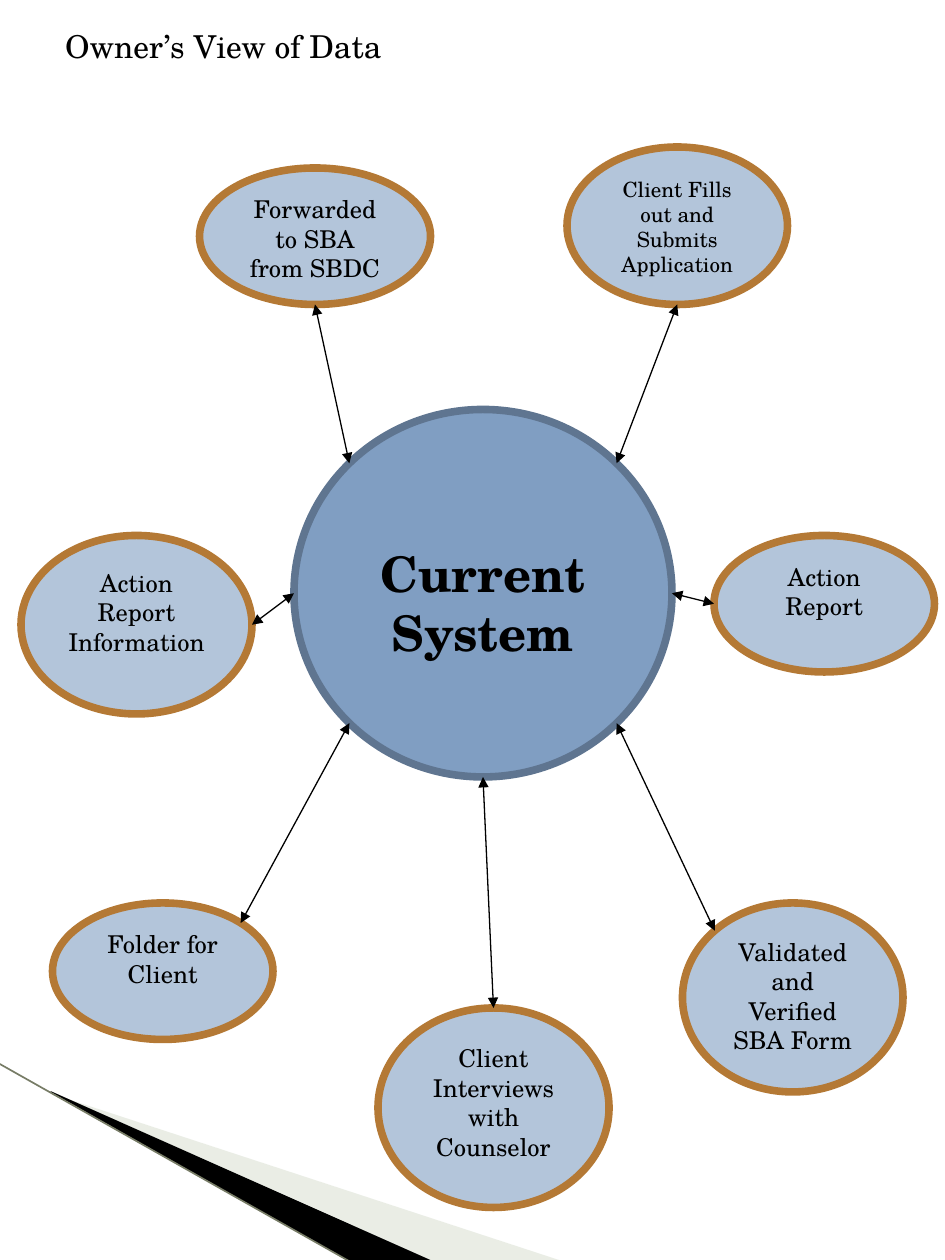
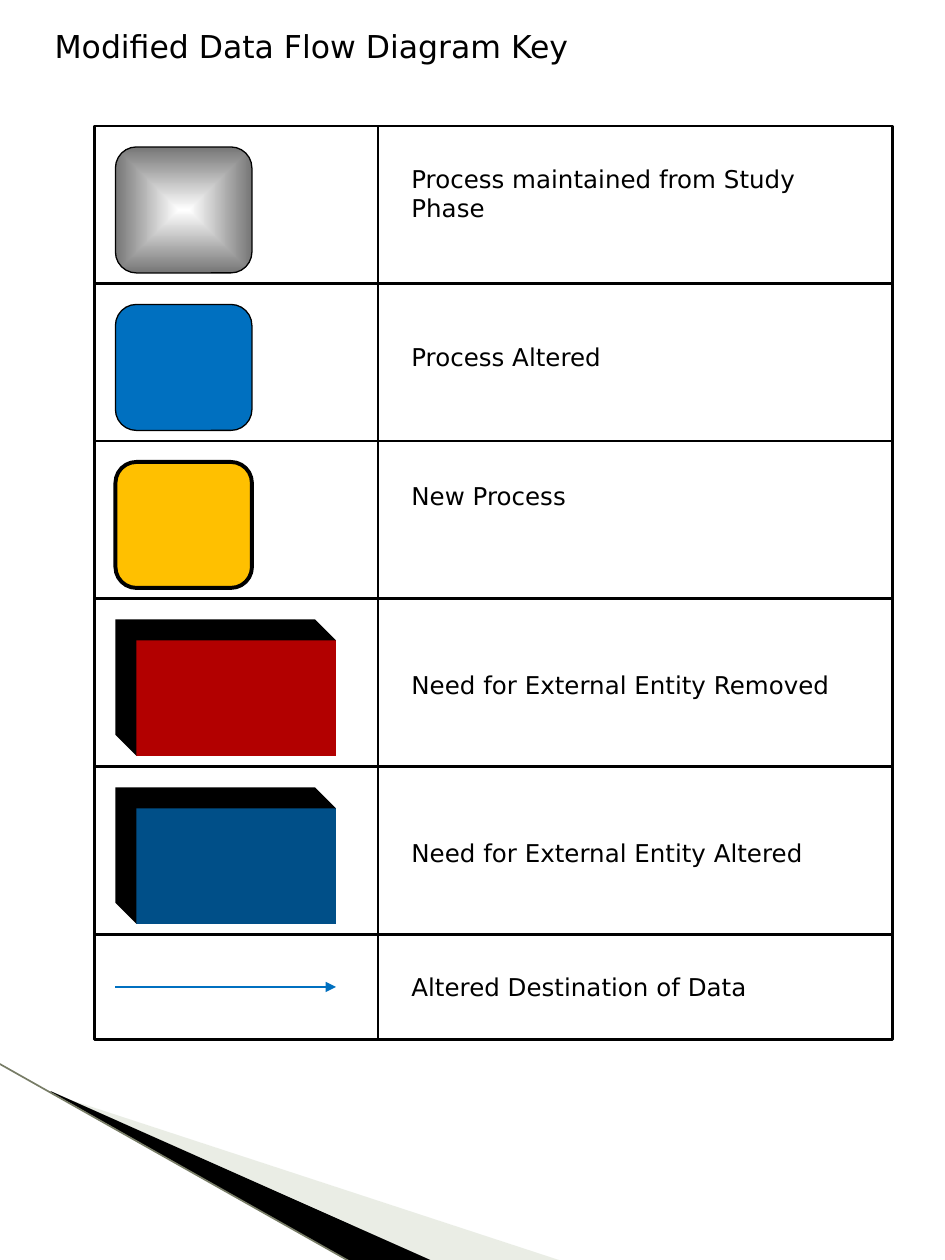
from dataclasses import dataclass
from math import cos, radians, sin

from lxml.etree import SubElement
from pptx import Presentation
from pptx.dml.color import RGBColor
from pptx.enum.shapes import MSO_CONNECTOR, MSO_SHAPE
from pptx.enum.text import MSO_ANCHOR, MSO_AUTO_SIZE, PP_ALIGN
from pptx.oxml import parse_xml
from pptx.oxml.ns import nsdecls, qn
from pptx.util import Pt


@dataclass(frozen=True)
class Theme:
    black: str = "000000"
    pale: str = "CBD4C0"
    edge: str = "777C66"
    hub: str = "809EC2"
    rim: str = "5F7590"
    node: str = "B3C5DA"
    ring: str = "B47935"
    blue: str = "0070C0"
    gold: str = "FFC000"
    red: str = "B20000"
    navy: str = "004F88"
    grey: str = "767676"
    serif: str = "TeX Gyre Schola"
    sans: str = "DejaVu Sans"
    title: int = 18
    big: int = 28
    body: int = 14
    small: int = 12


theme = Theme()


def write(frame, text, size, face, align=PP_ALIGN.LEFT, bold=False):
    frame.word_wrap = True
    frame.auto_size = MSO_AUTO_SIZE.NONE
    frame.vertical_anchor = MSO_ANCHOR.TOP
    frame.text = text
    for para in frame.paragraphs:
        para.alignment = align
        font = para.font
        font.size, font.name, font.bold = Pt(size), face, bold
        font.color.rgb = RGBColor.from_string(theme.black)


def style(shape, fill=None, line=None, width=0.75, ends=()):
    """Set fill and line, drop the shadow, and add arrowheads at the named ends."""
    if fill:
        shape.fill.solid()
        shape.fill.fore_color.rgb = RGBColor.from_string(fill)
    elif hasattr(shape, "fill"):
        shape.fill.background()
    if line:
        shape.line.color.rgb = RGBColor.from_string(line)
        shape.line.width = Pt(width)
    else:
        shape.line.fill.background()
    for end in ends:
        SubElement(shape.line._get_or_add_ln(), qn(f"a:{end}"), type="triangle")
    SubElement(shape.element.spPr, qn("a:effectLst"))


deck = Presentation()
deck.slide_width, deck.slide_height = Pt(540), Pt(720)
layout = deck.slide_layouts[5]
view, key = [deck.slides.add_slide(layout) for _ in range(2)]

# Corner bands, shared through the layout
bands = []
for points, color in (
    ([(29.5, 625), (321, 720.5), (246, 720.5), (29.5, 624.5)], theme.pale),
    ([(29, 623.5), (247, 720.5), (201, 721.5), (29, 624)], theme.black),
):
    path = [(Pt(x), Pt(y)) for x, y in points]
    pen = view.shapes.build_freeform(*path[0])
    pen.add_line_segments(path[1:])
    band = pen.convert_to_shape()
    style(band, color)
    bands.append(band)
tint = bands[0].element.spPr.find(qn("a:solidFill"))[0]
SubElement(tint, qn("a:alpha"), val="40000")
edge = view.shapes.add_connector(
    MSO_CONNECTOR.STRAIGHT, Pt(-1), Pt(607.5), Pt(201), Pt(721.5))
style(edge, line=theme.edge, width=0.95)
for band in bands + [edge]:
    layout.shapes.element.append(band.element)

# Titles
for slide, text, face, left, high in (
    (view, "Owner’s View of Data", theme.serif, 30, 29),
    (key, "Modified Data Flow Diagram Key", theme.sans, 24, 62),
):
    title = slide.shapes.title
    title.left, title.top = Pt(left), Pt(12)
    title.width, title.height = Pt(450), Pt(high)
    write(title.text_frame, text, theme.title, face)

# Owner's view: a hub and the steps around it
hub = (168, 234, 216, 210)
disc = view.shapes.add_shape(MSO_SHAPE.OVAL, *map(Pt, hub))
style(disc, theme.hub, theme.rim, 4.33)
write(disc.text_frame, "Current System", theme.big, theme.serif,
      PP_ALIGN.CENTER, True)
disc.text_frame.margin_top = Pt(46)

# Text, box, size, then link angles on the step and on the hub (clockwise from right)
steps = [
    ("Forwarded\nto SBA\nfrom SBDC", (114, 96, 132, 78), theme.body, 90, 225),
    ("Client Fills out and Submits\nApplication", (324, 84, 126, 90),
     theme.small, 90, 315),
    ("Action Report", (408, 306, 126, 78), theme.body, 180, 0),
    ("Folder for Client", (30, 516, 126, 78), theme.body, 315, 135),
    ("Client Interviews with Counselor", (216, 576, 132, 114),
     theme.body, 270, 90),
    ("Validated and Verified SBA Form", (390, 516, 126, 108),
     theme.body, 225, 45),
    ("Action Report\nInformation", (12, 306, 132, 102), theme.body, 0, 180),
]
for text, box, size, out, into in steps:
    oval = view.shapes.add_shape(MSO_SHAPE.OVAL, *map(Pt, box))
    style(oval, theme.node, theme.ring, 4.33)
    write(oval.text_frame, text, size, theme.serif, PP_ALIGN.CENTER)
    ends = []
    for (x, y, wide, high), turn in ((box, out), (hub, into)):
        ends += [Pt(x + wide / 2 * (1 + cos(radians(turn)))),
                 Pt(y + high / 2 * (1 + sin(radians(turn))))]
    link = view.shapes.add_connector(MSO_CONNECTOR.STRAIGHT, *ends)
    style(link, line=theme.black, ends=("headEnd", "tailEnd"))

# Key: row height, sample kind, colour, sample line width, text, text top
rows = [
    (90, "round", theme.grey, 0.75, "Process maintained from Study Phase", 90),
    (90, "round", theme.blue, 0.75, "Process Altered", 192),
    (90, "round", theme.gold, 2.25, "New Process", 271.5),
    (96, "block", theme.red, 0, "Need for External Entity Removed", 379.5),
    (96, "block", theme.navy, 0, "Need for External Entity Altered", 475.5),
    (60, "arrow", theme.blue, 1.5, "Altered Destination of Data", 552),
]
fade = f"""<a:gradFill {nsdecls("a")} rotWithShape="1"><a:gsLst>
<a:gs pos="0"><a:srgbClr val="FFFFFF"/></a:gs>
<a:gs pos="100000"><a:srgbClr val="{theme.grey}"/></a:gs></a:gsLst>
<a:path path="rect"><a:fillToRect l="50000" t="50000" r="50000" b="50000"/></a:path>
</a:gradFill>"""
left, top = 54, 72
mark = left + 12
for high, kind, color, width, text, start in rows:
    frame = key.shapes.add_shape(
        MSO_SHAPE.RECTANGLE, Pt(left), Pt(top), Pt(456), Pt(high))
    style(frame, line=theme.black, width=1.5)
    if kind == "round":
        tile = key.shapes.add_shape(
            MSO_SHAPE.ROUNDED_RECTANGLE, Pt(mark), Pt(top + 12), Pt(78), Pt(72))
        style(tile, color, theme.black, width)
        if color == theme.grey:
            solid = tile.element.spPr.find(qn("a:solidFill"))
            tile.element.spPr.replace(solid, parse_xml(fade))
    elif kind == "block":
        pen = key.shapes.build_freeform(Pt(mark), Pt(top + 12))
        pen.add_line_segments([
            (Pt(mark + x), Pt(top + 12 + y))
            for x, y in ((114, 0), (126, 12), (126, 78), (12, 78), (0, 66))])
        style(pen.convert_to_shape(), theme.black)
        front = key.shapes.add_shape(
            MSO_SHAPE.RECTANGLE, Pt(mark + 12), Pt(top + 24), Pt(114), Pt(66))
        style(front, color)
    else:
        arrow = key.shapes.add_connector(
            MSO_CONNECTOR.STRAIGHT, Pt(mark), Pt(top + 30),
            Pt(mark + 126), Pt(top + 30))
        style(arrow, line=color, width=width, ends=("tailEnd",))
    label = key.shapes.add_textbox(
        Pt(228), Pt(start), Pt(270), Pt(41 if len(text) > 33 else 24.5))
    write(label.text_frame, text, theme.body, theme.sans)
    top += high
split = key.shapes.add_connector(
    MSO_CONNECTOR.STRAIGHT, Pt(216), Pt(72), Pt(216), Pt(top))
style(split, line=theme.black, width=1.5)

deck.save("out.pptx")
